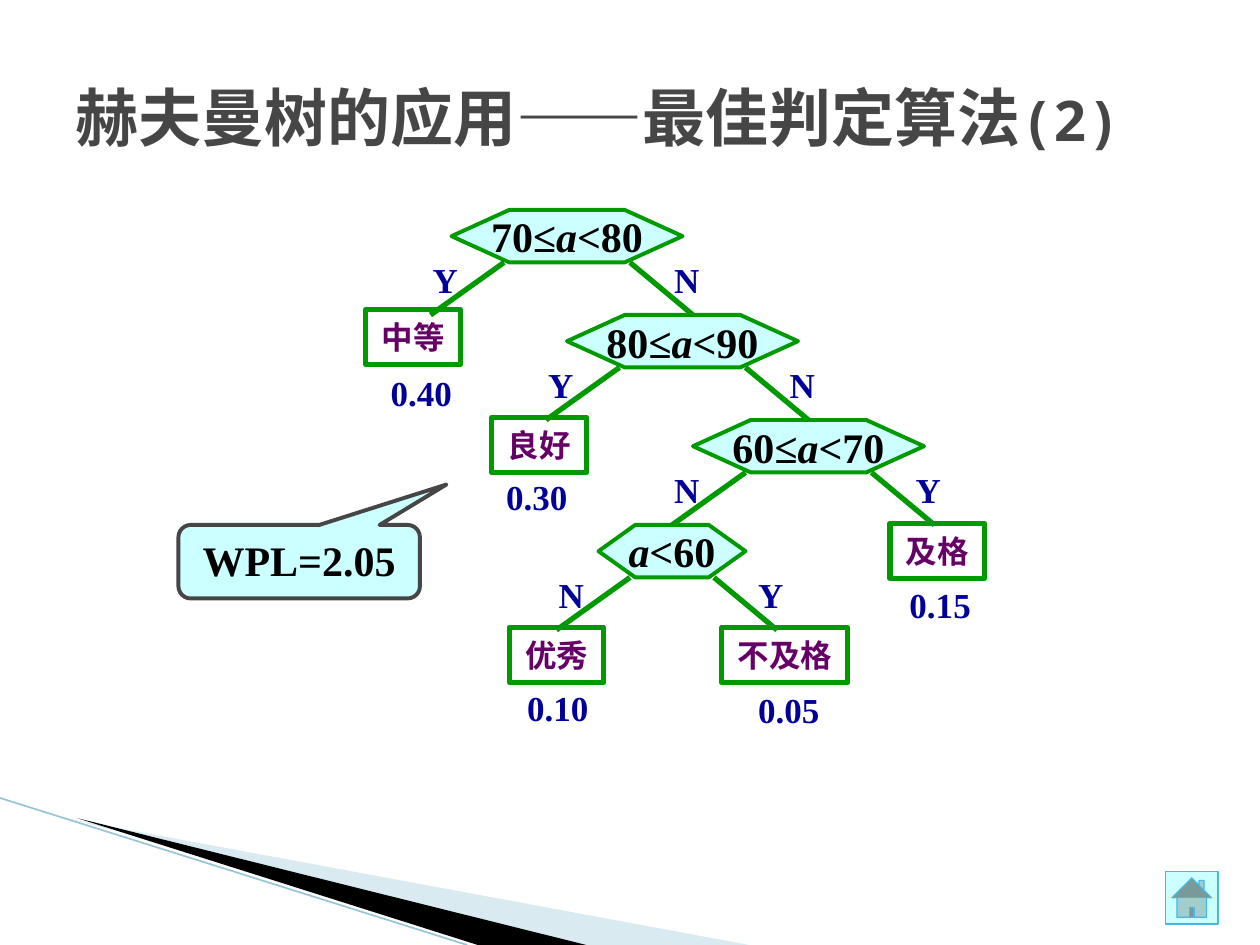
"""Build a slide showing a Huffman decision tree for grading scores."""
from typing import NamedTuple, Optional

from lxml.etree import SubElement
from pptx import Presentation
from pptx.dml.color import RGBColor
from pptx.enum.shapes import MSO_CONNECTOR, MSO_SHAPE
from pptx.enum.text import MSO_ANCHOR as Anchor, MSO_AUTO_SIZE as AutoSize, PP_ALIGN as Align
from pptx.oxml.ns import qn
from pptx.util import Pt

WHITE = RGBColor(0xFF, 0xFF, 0xFF)
BLACK = RGBColor(0x00, 0x00, 0x00)
GRAY = RGBColor(0x46, 0x46, 0x46)
GREEN = RGBColor(0x00, 0x99, 0x00)
NAVY = RGBColor(0x00, 0x00, 0x99)
PURPLE = RGBColor(0x66, 0x00, 0x66)
CYAN = RGBColor(0xCC, 0xFF, 0xFF)
SKY = RGBColor(0x44, 0xB9, 0xE8)
PALE_BLUE = RGBColor(0xA0, 0xCB, 0xDC)
MIST = RGBColor(0x97, 0xC5, 0xD8)
SERIF = "Times New Roman"
MONO = "Noto Sans Mono"
NODE_HEIGHT = 30


class Span(NamedTuple):
    text: str
    size: float
    color: RGBColor
    font: str = SERIF
    italic: bool = False


class Decision(NamedTuple):
    left: float
    top: float
    width: float
    inset: float
    bend: float
    before: str
    after: str
    left_label: str
    right_label: str


class Leaf(NamedTuple):
    grade: str
    left: float
    top: float
    width: float
    weight: str
    weight_left: float
    weight_top: float


DECISIONS = [
    Decision(258, 120, 132, 30, 1.1, "70≤", "<80", "Y", "N"),
    Decision(324, 180, 132, 30, 1.1, "80≤", "<90", "Y", "N"),
    Decision(396, 240, 132, 30, 1.1, "60≤", "<70", "N", "Y"),
    Decision(342, 300, 84, 18, 0.7, "", "<60", "N", "Y"),
]
LEAVES = [
    Leaf("中等", 209, 177, 54, "0.40", 216, 209),
    Leaf("良好", 281, 238.5, 54, "0.30", 282, 268.5),
    Leaf("及格", 508.5, 299, 54, "0.15", 512.5, 330),
    Leaf("优秀", 291, 358.5, 54, "0.10", 294, 389),
    Leaf("不及格", 412.5, 358.5, 72, "0.05", 426, 390),
]


def write(box, spans: list[Span], align=Align.CENTER, anchor=Anchor.MIDDLE,
          wrap: bool = False, grow: bool = False) -> None:
    """Fill a shape with one paragraph of bold spans."""
    frame = box.text_frame
    frame.word_wrap = wrap
    frame.vertical_anchor = anchor
    frame.auto_size = AutoSize.SHAPE_TO_FIT_TEXT if grow else AutoSize.NONE
    para = frame.paragraphs[0]
    para.alignment = align
    for span in spans:
        run = para.add_run()
        run.text = span.text
        run.font.name = span.font
        run.font.size = Pt(span.size)
        run.font.bold = True
        run.font.italic = span.italic
        run.font.color.rgb = span.color


def add_box(page, kind, left: float, top: float, width: float, height: float,
            fill: Optional[RGBColor], line: RGBColor, weight: float):
    """Add an outlined preset shape without a shadow."""
    box = page.shapes.add_shape(kind, Pt(left), Pt(top), Pt(width), Pt(height))
    box.shadow.inherit = False
    if fill is None:
        box.fill.background()
    else:
        box.fill.solid()
        box.fill.fore_color.rgb = fill
    box.line.color.rgb = line
    box.line.width = Pt(weight)
    return box


def add_label(page, text: str, left: float, top: float, width: float) -> None:
    """Add a navy label for a branch or a weight."""
    box = page.shapes.add_textbox(Pt(left), Pt(top), Pt(width), Pt(31))
    write(box, [Span(text, 20, NAVY)], grow=True)


def add_line(page, x1: float, y1: float, x2: float, y2: float,
             color: RGBColor, weight: float) -> None:
    """Add a straight line without a shadow."""
    line = page.shapes.add_connector(MSO_CONNECTOR.STRAIGHT, Pt(x1), Pt(y1), Pt(x2), Pt(y2))
    line.line.color.rgb = color
    line.line.width = Pt(weight)
    SubElement(line._element.spPr, qn("a:effectLst"))


def add_wedge(page, points: list[tuple[float, float]], color: RGBColor,
              opacity: int = 100) -> None:
    """Add a filled polygon with the given opacity in percent."""
    corners = [(Pt(x), Pt(y)) for x, y in points]
    builder = page.shapes.build_freeform(*corners[0])
    builder.add_line_segments(corners[1:], close=True)
    wedge = builder.convert_to_shape()
    wedge.shadow.inherit = False
    wedge.fill.solid()
    wedge.fill.fore_color.rgb = color
    wedge.line.fill.background()
    if opacity < 100:
        tint = wedge._element.spPr.find(qn("a:solidFill"))[0]
        SubElement(tint, qn("a:alpha")).set("val", str(opacity * 1000))


def add_leaf(page, leaf: Leaf) -> None:
    """Add a grade box and its weight."""
    box = add_box(page, MSO_SHAPE.RECTANGLE, leaf.left, leaf.top, leaf.width, 31.5,
                  None, GREEN, 3)
    write(box, [Span(leaf.grade, 18, PURPLE)], grow=True)
    add_label(page, leaf.weight, leaf.weight_left, leaf.weight_top, 49.5)


def add_decision(page, node: Decision) -> None:
    """Add a question hexagon with its two labelled branches."""
    box = add_box(page, MSO_SHAPE.HEXAGON, node.left, node.top, node.width, NODE_HEIGHT,
                  CYAN, GREEN, 2.25)
    box.adjustments[0] = node.bend
    spans = [Span(node.before, 24, BLACK), Span("a", 24, BLACK, italic=True),
             Span(node.after, 24, BLACK)]
    write(box, [span for span in spans if span.text])
    bottom = node.top + NODE_HEIGHT
    left_foot = node.left + node.inset
    right_foot = node.left + node.width - node.inset
    for foot, reach, label, shift in ((left_foot, -42, node.left_label, -48),
                                      (right_foot, 36, node.right_label, 18)):
        add_line(page, foot, bottom, foot + reach, bottom + 30, GREEN, 3)
        add_label(page, label, foot + shift, bottom - 6, 29)


def main() -> None:
    """Build and save the deck."""
    deck = Presentation()
    deck.slide_width, deck.slide_height = Pt(720), Pt(540)
    page = deck.slides.add_slide(deck.slide_layouts[6])
    page.background.fill.solid()
    page.background.fill.fore_color.rgb = WHITE

    add_wedge(page, [(39.6, 468), (428, 540), (328, 540)], PALE_BLUE, 40)
    add_wedge(page, [(44, 467.5), (335, 540), (273, 540)], BLACK)
    add_line(page, 0, 456, 267, 540, MIST, 0.95)

    title = page.shapes.add_textbox(Pt(36), Pt(21.6), Pt(648), Pt(90))
    write(title, [Span("赫夫曼树的应用——最佳判定算法", 36, GRAY, MONO),
                  Span("(2)", 32, GRAY, MONO)], align=Align.LEFT, wrap=True)
    add_box(page, MSO_SHAPE.ACTION_BUTTON_HOME, 666, 498, 30, 30, CYAN, SKY, 0.75)

    for leaf in LEAVES:
        add_leaf(page, leaf)
    callout = add_box(page, MSO_SHAPE.ROUNDED_RECTANGULAR_CALLOUT, 102, 300, 138, 42,
                      CYAN, GRAY, 2.25)
    callout.adjustments[0] = 0.61
    callout.adjustments[1] = -1.05
    write(callout, [Span("WPL=2.05", 24, BLACK)], anchor=Anchor.TOP, wrap=True)
    for node in DECISIONS:
        add_decision(page, node)
    deck.save("out.pptx")


if __name__ == "__main__":
    main()
